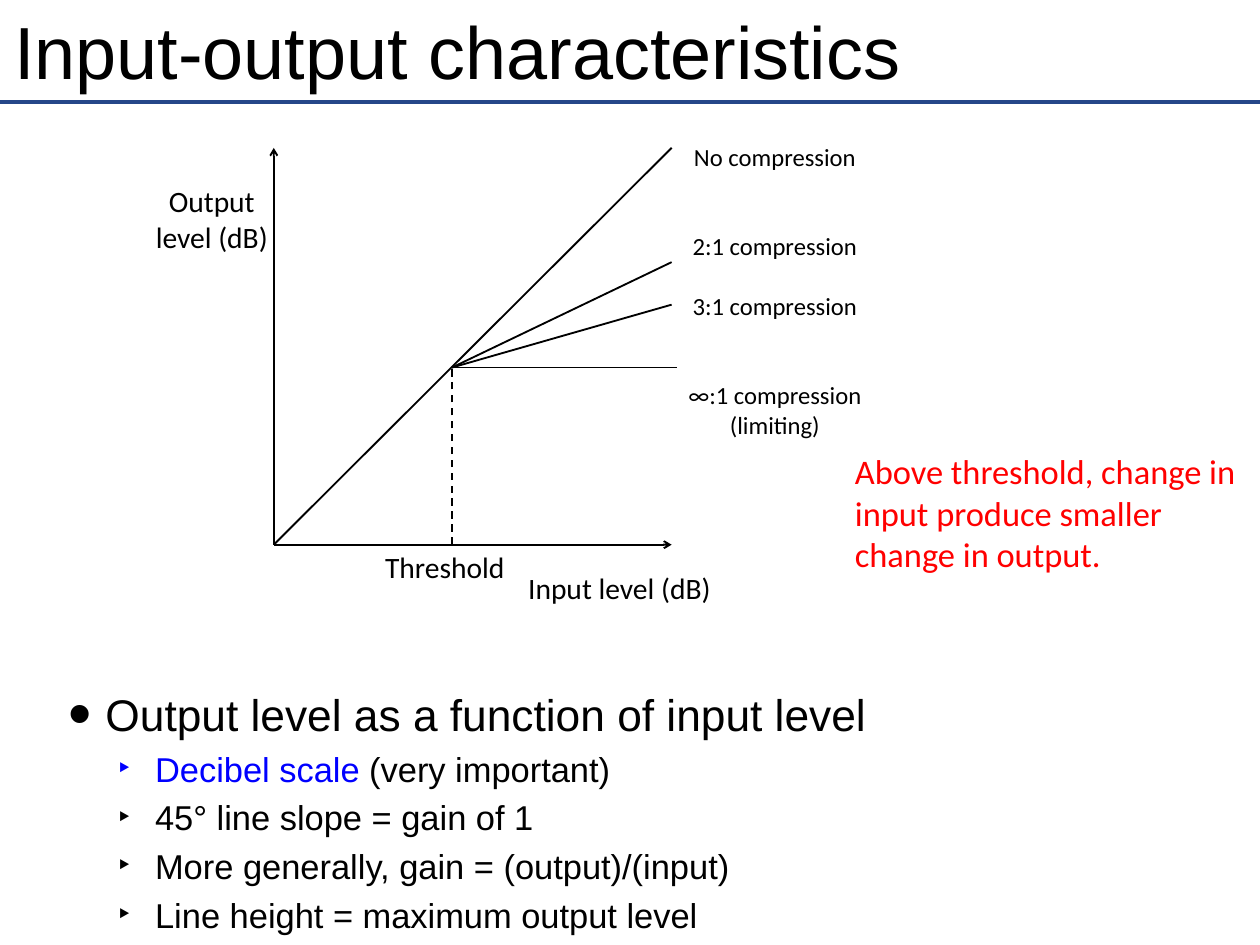
from lxml import etree
from pptx import Presentation
from pptx.dml.color import RGBColor
from pptx.enum.dml import MSO_LINE
from pptx.enum.shapes import MSO_CONNECTOR
from pptx.enum.text import MSO_ANCHOR, PP_ALIGN
from pptx.oxml.ns import qn
from pptx.util import Inches, Pt

BLACK = RGBColor(0x00, 0x00, 0x00)
BLUE = RGBColor(0x00, 0x00, 0xFF)
RED = RGBColor(0xFF, 0x00, 0x00)
NAVY = RGBColor(0x25, 0x47, 0x89)
STRAIGHT = MSO_CONNECTOR.STRAIGHT
DASH = MSO_LINE.DASH
TOP, MIDDLE = MSO_ANCHOR.TOP, MSO_ANCHOR.MIDDLE
LEFT, CENTER = PP_ALIGN.LEFT, PP_ALIGN.CENTER
HEADING_FONT, LABEL_FONT = "Arial", "Calibri"

WIDTH, HEIGHT = 14.22, 10.67
ORIGIN = (3.09, 6.15)
KNEE = (5.1, 4.15)
AXIS_RIGHT, AXIS_TOP = 7.58, 1.67
LABEL_LINE = 24.4  # height in points of one 20 pt curve label


class Slide:
    def __init__(self, prs):
        self.s = prs.slides.add_slide(prs.slide_layouts[6])

    def line(self, start, end, color=BLACK, width=1.5, dash=None, arrow=False):
        c = self.s.shapes.add_connector(STRAIGHT, *map(Inches, start + end))
        c.line.color.rgb = color
        c.line.width = Pt(width)
        if dash:
            c.line.dash_style = dash
        if arrow:
            etree.SubElement(c.line._ln, qn("a:tailEnd"), type="arrow")
        etree.SubElement(c._element.spPr, qn("a:effectLst"))

    def box(self, at, wrap=True, anchor=TOP, inset=(0.1, 0.05)):
        tf = self.s.shapes.add_textbox(*map(Inches, at)).text_frame
        tf.word_wrap = wrap
        tf.vertical_anchor = anchor
        tf.margin_left = tf.margin_right = Inches(inset[0])
        tf.margin_top = tf.margin_bottom = Inches(inset[1])
        return tf

    def paragraph(self, tf, runs, size, font=LABEL_FONT, align=LEFT, before=0):
        """Add one paragraph; runs is a list of (text, color)."""
        first = tf.paragraphs[0]
        p = tf.add_paragraph() if first.runs else first
        p.alignment = align
        p.space_before = Pt(before)
        for text, color in runs:
            r = p.add_run()
            r.text = text
            r.font.size = Pt(size)
            r.font.name = font
            r.font.color.rgb = color
        return p

    def bullet(self, tf, runs, size, char, left, percent=100):
        p = self.paragraph(tf, runs, size, HEADING_FONT, before=6)
        pPr = p._p.get_or_add_pPr()
        pPr.set("marL", str(Inches(left)))
        pPr.set("indent", str(Inches(-0.42)))
        etree.SubElement(pPr, qn("a:buSzPct"), val=str(percent * 1000))
        etree.SubElement(pPr, qn("a:buFont"), typeface=HEADING_FONT)
        etree.SubElement(pPr, qn("a:buChar"), char=char)
        return p

    def label(self, at, lines, size=24):
        """Add centred lines, each given as (text, space before)."""
        tf = self.box(at, wrap=False)
        for text, before in lines:
            self.paragraph(tf, [(text, BLACK)], size, align=CENTER, before=before)


def main():
    prs = Presentation()
    prs.slide_width, prs.slide_height = Inches(WIDTH), Inches(HEIGHT)
    slide = Slide(prs)

    slide.line((0, 1.15), (WIDTH, 1.15), NAVY, 3)
    title = slide.box((0.1, 0.06, 14.01, 1.01), anchor=MIDDLE, inset=(0.06, 0.06))
    slide.paragraph(title, [("Input-output characteristics", BLACK)], 60, HEADING_FONT)

    body = slide.box((0.44, 7.7, 9.69, 2.83), inset=(0.06, 0.06))
    slide.bullet(body, [("Output level as a function of input level", BLACK)],
                 36, "•", 0.69, 150)
    for runs in (
        [("Decibel scale", BLUE), (" (very important)", BLACK)],
        [("45° line slope = gain of 1", BLACK)],
        [("More generally, gain = (output)/(input)", BLACK)],
        [("Line height = maximum output level", BLACK)],
    ):
        slide.bullet(body, runs, 28, "‣", 1.25).level = 1

    remark = slide.box((9.55, 5.02, 4.67, 1.53), anchor=MIDDLE)
    slide.paragraph(remark, [("Above threshold, change in input produce smaller "
                              "change in output.", RED)], 28)

    for axis_end in ((AXIS_RIGHT, ORIGIN[1]), (ORIGIN[0], AXIS_TOP)):
        slide.line(ORIGIN, axis_end, arrow=True)
    slide.line(ORIGIN, (AXIS_RIGHT, AXIS_TOP))
    for curve_end in ((7.64, KNEE[1]), (AXIS_RIGHT, 2.96), (AXIS_RIGHT, 3.44)):
        slide.line(KNEE, curve_end)
    slide.line((KNEE[0], ORIGIN[1]), KNEE, dash=DASH)

    slide.label((7.66, 1.55, 2.17, 3.47), [
        ("No compression", 0),
        ("2:1 compression", 2 * LABEL_LINE),
        ("3:1 compression", LABEL_LINE),
        ("∞:1 compression", 2 * LABEL_LINE),
        ("(limiting)", 0),
    ], 20)
    slide.label((5.85, 6.39, 2.28, 0.5), [("Input level (dB)", 0)])
    slide.label((1.65, 2.02, 1.48, 0.91), [("Output", 0), ("level (dB)", 0)])
    slide.label((4.24, 6.15, 1.56, 0.5), [("Threshold", 0)])

    prs.save("out.pptx")


if __name__ == "__main__":
    main()
